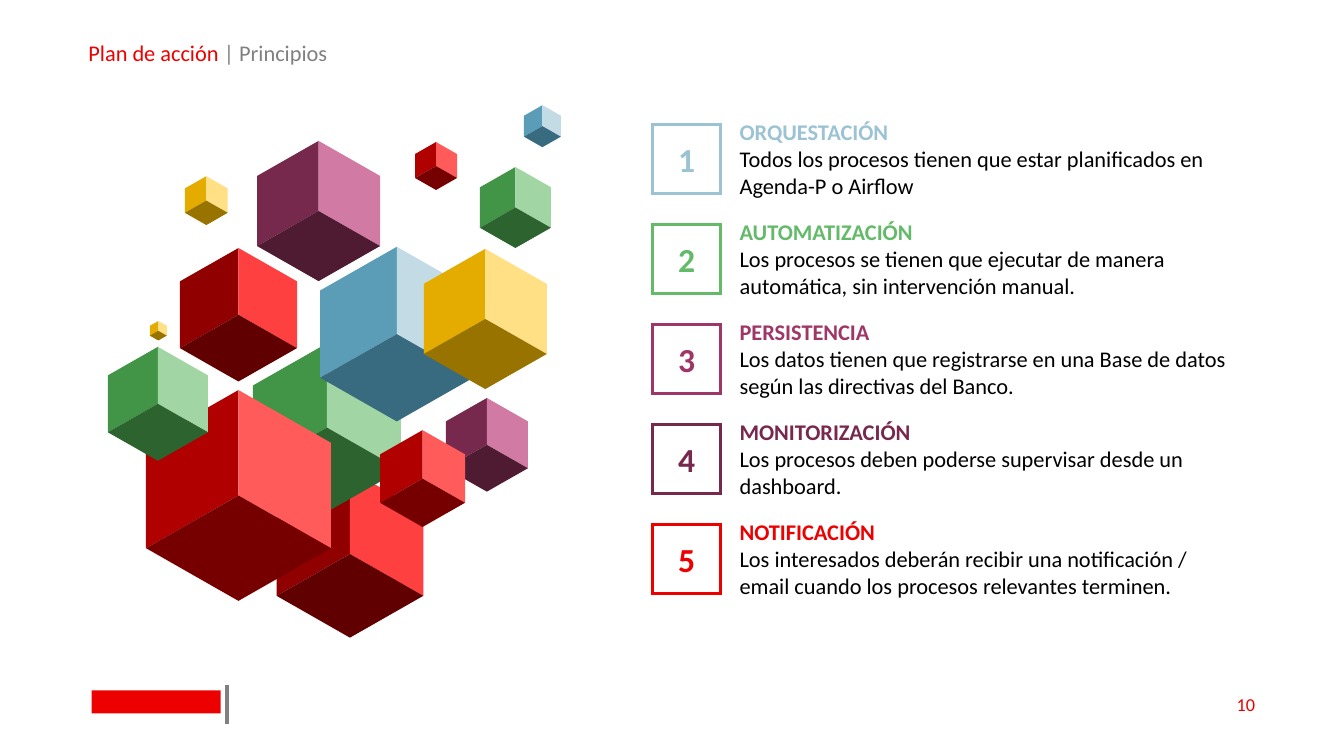
from lxml import etree
from pptx import Presentation
from pptx import util as u
from pptx.dml.color import RGBColor
from pptx.enum import shapes, text
from pptx.oxml.ns import qn

FONT = "Calibri"
RED, GREY, BLACK = "EC0000", "808080", "000000"
FACES = {
    "crimson": ("900000", "FF4040", "600000"),
    "red": ("B10000", "FF5B5B", "760000"),
    "green": ("429446", "A1D6A4", "2C632F"),
    "purple": ("76294D", "D17AA3", "4F1B33"),
    "blue": ("5B9DB7", "C3DBE5", "386B7F"),
    "yellow": ("E5AC00", "FFE085", "997300"),
}
CUBES = [
    ("crimson", 6.52, 9.2, 3.7),
    ("green", 5.94, 6.0, 3.73),
    ("red", 3.71, 7.18, 4.66),
    ("purple", 9.97, 7.38, 2.07),
    ("blue", 7.7, 3.57, 3.86),
    ("red", 8.35, 8.19, 2.14),
    ("green", 1.68, 6.09, 2.52),
    ("crimson", 3.71, 3.6, 2.95),
    ("purple", 5.73, 0.9, 3.1),
    ("blue", 11.37, 0, 0.93),
    ("green", 10.69, 1.56, 1.79),
    ("red", 8.69, 0.93, 1.06),
    ("yellow", 9.93, 3.62, 3.1),
    ("yellow", 1.69, 5.44, 0.43),
    ("yellow", 2.9, 1.79, 1.08),
]
PRINCIPLES = [
    ("ORQUESTACIÓN", "Todos los procesos tienen que estar planificados en Agenda-P o Airflow", "9BC3D3"),
    ("AUTOMATIZACIÓN", "Los procesos se tienen que ejecutar de manera automática, sin intervención manual.", "63BA68"),
    ("PERSISTENCIA", "Los datos tienen que registrarse en una Base de datos según las directivas del Banco.", "9E3667"),
    ("MONITORIZACIÓN", "Los procesos deben poderse supervisar desde un dashboard.", "76294D"),
    ("NOTIFICACIÓN", "Los interesados deberán recibir una notificación / email cuando los procesos relevantes terminen.", RED),
]


def color(value):
    """Turn a hex string into a colour."""
    return RGBColor.from_string(value)


def set_font(font, size, value, bold=False):
    """Set the font of a paragraph."""
    font.name, font.size, font.bold = FONT, u.Pt(size), bold
    font.color.rgb = color(value)


def fill_plain(shape, value):
    """Give a shape a flat fill without line or shadow."""
    shape.shadow.inherit = False
    shape.fill.solid()
    shape.fill.fore_color.rgb = color(value)
    shape.line.fill.background()


def add_text_frame(slide, left, top, width, height):
    """Add a wrapping text box and return its frame."""
    box = slide.shapes.add_textbox(u.Cm(left), u.Cm(top), u.Cm(width), u.Cm(height))
    box.text_frame.word_wrap = True
    return box.text_frame


def add_header(slide, left, top, width, height):
    """Write the section and topic line."""
    paragraph = add_text_frame(slide, left, top, width, height).paragraphs[0]
    paragraph.line_spacing = 0.9
    for words, value in (("Plan de acción", RED), (" | Principios", GREY)):
        run = paragraph.add_run()
        run.text = words
        set_font(run.font, 16, value)


def add_cube(slide, name, center, top, width):
    """Draw the three visible faces of an isometric cube."""
    half, quarter = width / 2, width * 0.285
    upper_left, upper_right = (center - half, top + quarter), (center + half, top + quarter)
    lower_left, lower_right = (center - half, top + 3 * quarter), (center + half, top + 3 * quarter)
    peak, middle, base = ((center, top + step * quarter) for step in (0, 2, 4))
    outlines = (
        (upper_left, peak, middle, lower_left),
        (peak, upper_right, lower_right, middle),
        (lower_left, middle, lower_right, base),
    )
    for outline, value in zip(outlines, FACES[name]):
        points = [(u.Cm(x), u.Cm(y)) for x, y in outline]
        builder = slide.shapes.build_freeform(*points[0])
        builder.add_line_segments(points[1:], close=True)
        fill_plain(builder.convert_to_shape(), value)


def add_cube_cluster(slide, left, top):
    """Draw the group of cubes, from back to front."""
    for name, center, cube_top, width in CUBES:
        add_cube(slide, name, left + center, top + cube_top, width)


def add_principle(slide, left, top, width, height, number, principle):
    """Place a numbered square beside a heading and its description."""
    heading, description, value = principle
    side, text_offset = 1.73, 1.95
    frame = add_text_frame(slide, left + text_offset, top, width - text_offset, height)
    frame.text = f"{heading}\n{description}"
    set_font(frame.paragraphs[0].font, 16, value, True)
    set_font(frame.paragraphs[1].font, 16, BLACK)

    square = slide.shapes.add_shape(
        shapes.MSO_SHAPE.RECTANGLE, u.Cm(left), u.Cm(top + 0.29), u.Cm(side), u.Cm(side))
    square.shadow.inherit = False
    square.fill.background()
    square.line.color.rgb = color(value)
    square.line.width = u.Pt(2.25)
    etree.SubElement(square.line._get_or_add_ln(), qn("a:miter"), lim="800000")
    square.text_frame.vertical_anchor = text.MSO_ANCHOR.MIDDLE
    paragraph = square.text_frame.paragraphs[0]
    paragraph.text = str(number)
    paragraph.alignment = text.PP_ALIGN.CENTER
    set_font(paragraph.font, 24, value, True)


def add_principles(slide, left, top, width, pitch):
    """Stack the principles at an equal pitch."""
    for index, principle in enumerate(PRINCIPLES):
        add_principle(slide, left, top + index * pitch, width, 2.3, index + 1, principle)


def add_footer(slide, left, top, width, height):
    """Place the brand block, the divider and the page number."""
    brand = slide.shapes.add_shape(
        shapes.MSO_SHAPE.RECTANGLE, u.Cm(left), u.Cm(top + 0.15), u.Cm(3.25), u.Cm(0.58))
    fill_plain(brand, RED)
    divider_x = u.Cm(left + 3.41)
    divider = slide.shapes.add_connector(
        shapes.MSO_CONNECTOR.STRAIGHT, divider_x, u.Cm(top), divider_x, u.Cm(top + height))
    divider.line.color.rgb = color(GREY)
    divider.line.width = u.Pt(2.25)
    etree.SubElement(divider._element.spPr, qn("a:effectLst"))
    frame = add_text_frame(slide, left + width - 7.62, top, 7.62, height)
    frame.vertical_anchor = text.MSO_ANCHOR.MIDDLE
    paragraph = frame.paragraphs[0]
    paragraph.text = "10"
    paragraph.alignment = text.PP_ALIGN.RIGHT
    set_font(paragraph.font, 13, RED)


def main():
    """Build and save the presentation."""
    presentation = Presentation()
    presentation.slide_width, presentation.slide_height = u.Cm(33.87), u.Cm(19.05)
    slide = presentation.slides.add_slide(presentation.slide_layouts[6])
    add_footer(slide, 2.31, 17.25, 29.57, 1)
    add_header(slide, 1.98, 0.94, 29.9, 0.84)
    add_cube_cluster(slide, 2.3, 2.65)
    add_principles(slide, 16.44, 2.85, 14.95, 2.52)
    presentation.save("out.pptx")


if __name__ == "__main__":
    main()
